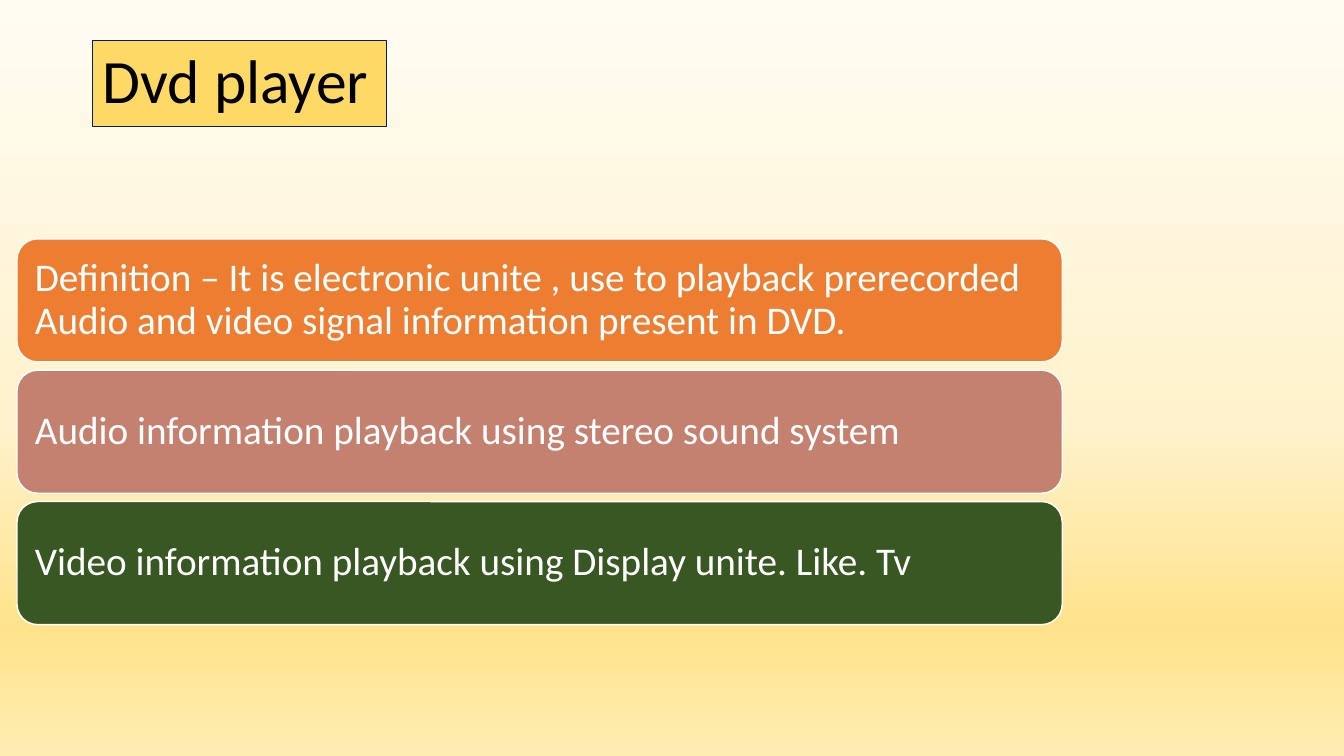
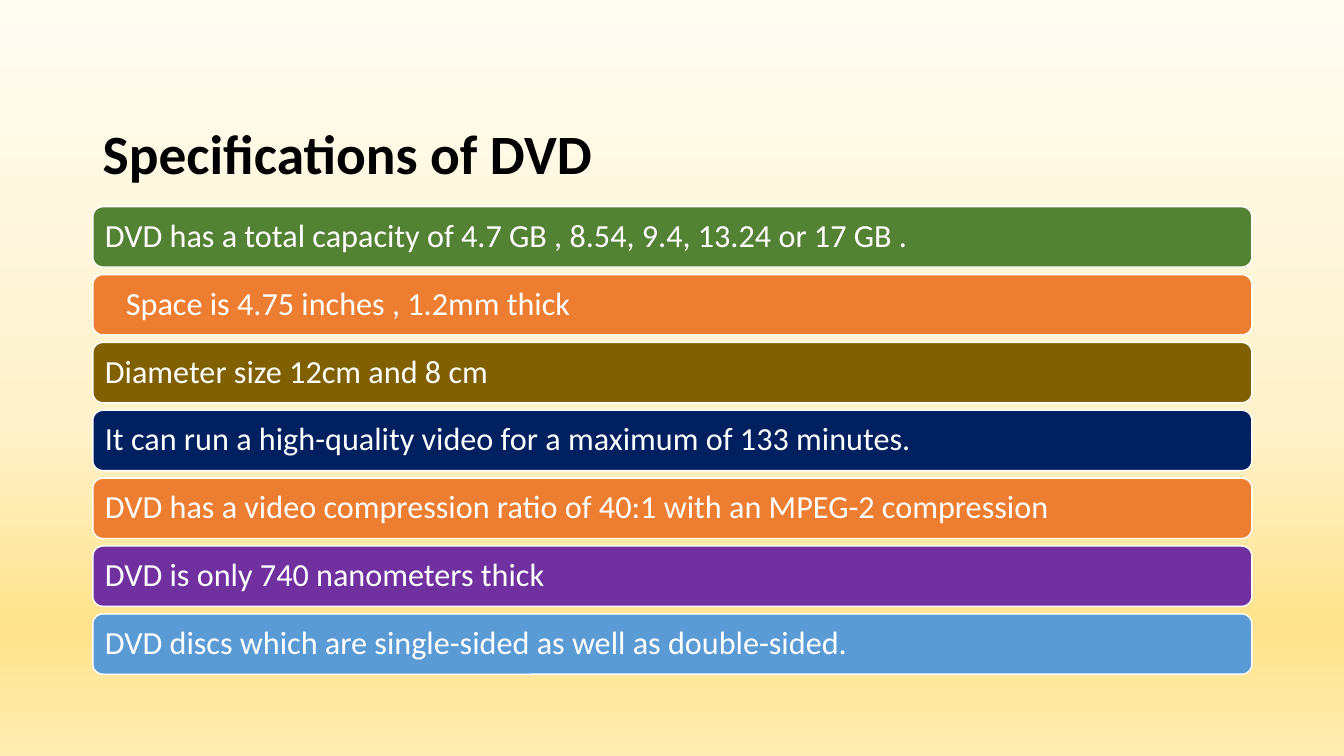
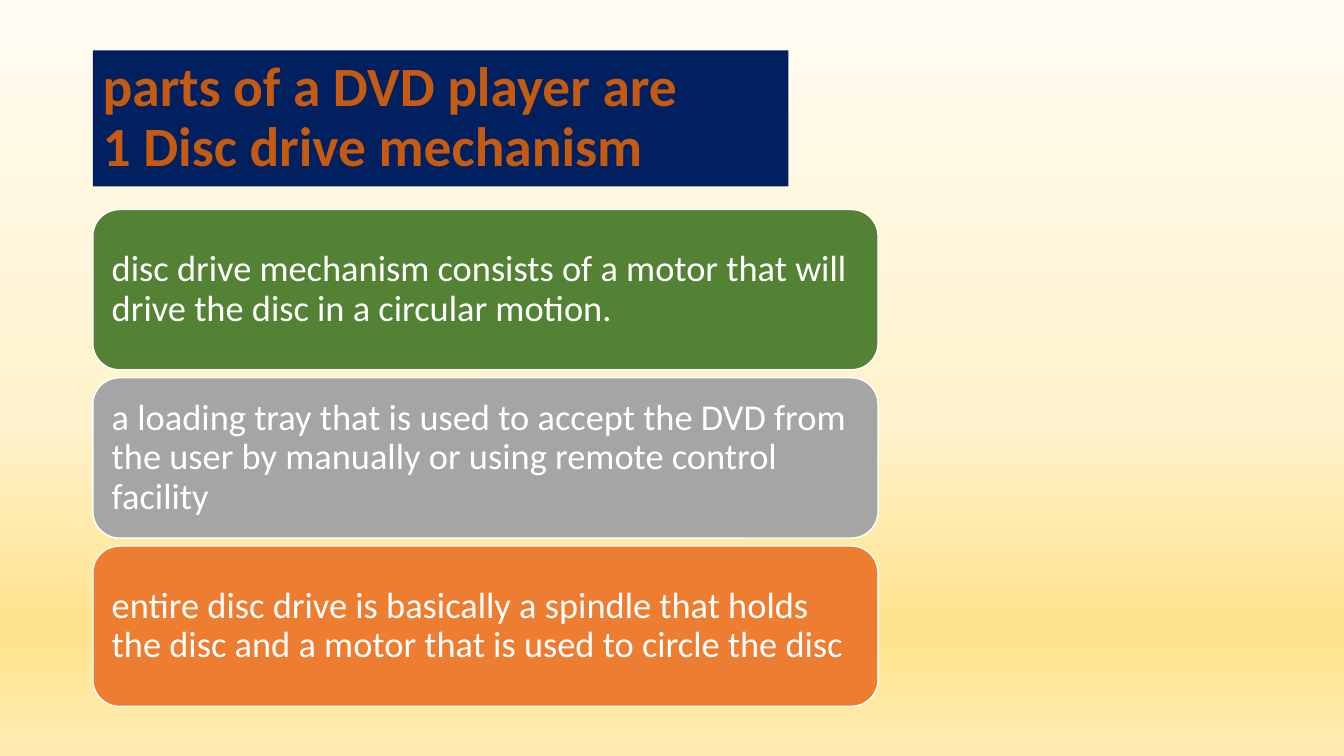
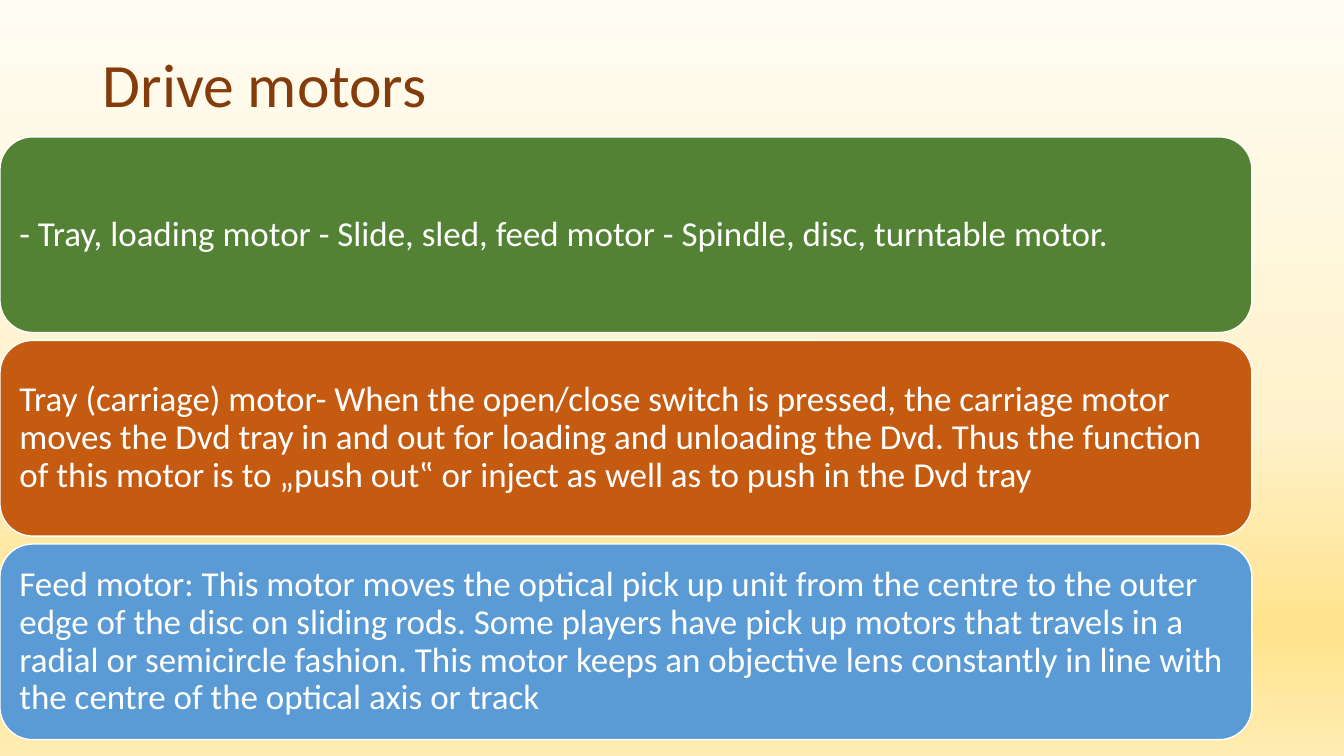
from pptx import Presentation
from pptx.dml.color import RGBColor
from pptx.enum.shapes import MSO_SHAPE
from pptx.enum.text import MSO_ANCHOR, PP_ALIGN
from pptx.oxml import parse_xml
from pptx.oxml.ns import nsdecls
from pptx.util import Cm, Pt

FONT = "Calibri"
BLACK, WHITE, NAVY = "000000", "FFFFFF", "002060"
GREEN, ORANGE, RUST, BLUE = "548235", "ED7D31", "C55A11", "5B9BD5"
BROWN, GOLD, OLIVE, PURPLE = "843C0B", "FFD966", "806000", "7030A0"
ROSE, FOREST, GREY = "C48170", "385723", "A5A5A5"
GLOW = [(0, "FFFCF2"), (56, "FFF2CC"), (83, "FFE38C"), (100, "FFECB2")]


def rgb(code):
    return RGBColor.from_string(code)


def apply(item, values):
    """Set each named attribute of item."""
    for name, value in values.items():
        setattr(item, name, value)


def paint(shape, fill=None, line=None, width=1):
    if fill:
        shape.fill.solid()
        shape.fill.fore_color.rgb = rgb(fill)
    if line:
        shape.line.color.rgb = rgb(line)
        shape.line.width = Pt(width)


def write(shape, text, size, color, bold=False, pad=(0.25, 0.13)):
    """Fill the shape with left-aligned text; pad is (side, top) in cm."""
    side, top = map(Cm, pad)
    frame = shape.text_frame
    apply(frame, {
        "text": text, "word_wrap": True, "vertical_anchor": MSO_ANCHOR.MIDDLE,
        "margin_left": side, "margin_right": side,
        "margin_top": top, "margin_bottom": top,
    })
    for para in frame.paragraphs:
        apply(para, {"alignment": PP_ALIGN.LEFT, "line_spacing": 0.9})
        for run in para.runs:
            apply(run.font, {"name": FONT, "size": Pt(size), "bold": bold})
            run.font.color.rgb = rgb(color)


def set_back(master):
    """Give every slide the vertical gradient."""
    fill = master.background.fill
    fill.gradient()
    fill.gradient_angle = 270
    stops = master.element.xpath("./p:cSld/p:bg//a:gsLst")[0]
    for stop in list(stops):
        stops.remove(stop)
    for place, color in GLOW:
        stops.append(parse_xml(
            f'<a:gs {nsdecls("a")} pos="{place * 1000}">'
            f'<a:srgbClr val="{color}"/></a:gs>'))


def add_title(slide, text, box, color, size=44, bold=False, **look):
    shape = slide.shapes.add_textbox(*map(Cm, box))
    paint(shape, **look)
    write(shape, text, size, color, bold)


def add_stack(slide, box, gap, size, pad, rows):
    """Stack equal rounded bars; box is that of the first one."""
    left, top, width, height = box
    bars = []
    for index, (color, text) in enumerate(rows):
        place = left, top + index * (height + gap), width, height
        bar = slide.shapes.add_shape(
            MSO_SHAPE.ROUNDED_RECTANGLE, *map(Cm, place))
        bar.shadow.inherit = False
        paint(bar, color, WHITE)
        write(bar, text, size, WHITE, pad=(pad, pad))
        bars.append(bar)
    return bars


def add_intro(slide):
    add_title(slide, "Dvd player", (2.34, 1.02, 7.39, 2.18), BLACK,
              fill=GOLD, line=NAVY, width=0.75)
    add_stack(slide, (0.43, 6.02, 26.34, 3.1), 0.21, 28, 0.3, [
        (ORANGE, "Definition – It is electronic unite , use to playback "
                 "prerecorded Audio and video signal information present "
                 "in DVD."),
        (ROSE, "Audio information playback using stereo sound system"),
        (FOREST, "Video information playback using Display unite. Like. Tv"),
    ])


def add_specs(slide):
    add_title(slide, "Specifications of DVD", (2.34, 3.18, 13.23, 1.52),
              BLACK, 39.6, True)
    bars = add_stack(slide, (2.34, 5.21, 29.21, 1.52), 0.19, 23, 0.23, [
        (GREEN, "DVD has a total capacity of 4.7 GB , 8.54, 9.4, 13.24 "
                "or 17 GB ."),
        (ORANGE, "Space is 4.75 inches , 1.2mm thick"),
        (OLIVE, "Diameter size 12cm and 8 cm"),
        (NAVY, "It can run a high-quality video for a maximum of "
               "133 minutes."),
        (ORANGE, "DVD has a video compression ratio of 40:1 with an MPEG-2 "
                 "compression"),
        (PURPLE, "DVD is only 740 nanometers thick"),
        (BLUE, "DVD discs which are single-sided as well as double-sided."),
    ])
    bars[1].text_frame.margin_left = Cm(0.76)


def add_parts(slide):
    add_title(slide, "parts of a DVD player are\n1 Disc drive mechanism",
              (2.34, 1.27, 17.53, 3.43), RUST, 39.6, True, fill=NAVY)
    add_stack(slide, (2.34, 5.28, 19.79, 4.04), 0.2, 26, 0.28, [
        (GREEN, "disc drive mechanism consists of a motor that will drive "
                "the disc in a circular motion."),
        (GREY, "a loading tray that is used to accept the DVD from the user "
               "by manually or using remote control facility"),
        (ORANGE, "entire disc drive is basically a spindle that holds the "
                 "disc and a motor that is used to circle the disc"),
    ])


def add_motors(slide):
    add_title(slide, "Drive motors", (2.34, 1.02, 10.24, 2.39), BROWN)
    add_stack(slide, (0, 3.45, 31.55, 4.93), 0.2, 25, 0.25, [
        (GREEN, "- Tray, loading motor - Slide, sled, feed motor - Spindle, "
                "disc, turntable motor."),
        (RUST, "Tray (carriage) motor- When the open/close switch is "
               "pressed, the carriage motor moves the Dvd tray in and out "
               "for loading and unloading the Dvd. Thus the function of "
               "this motor is to „push out‟ or inject as well as to push "
               "in the Dvd tray"),
        (BLUE, "Feed motor: This motor moves the optical pick up unit from "
               "the centre to the outer edge of the disc on sliding rods. "
               "Some players have pick up motors that travels in a radial "
               "or semicircle fashion. This motor keeps an objective lens "
               "constantly in line with the centre of the optical axis or "
               "track"),
    ])


def main():
    deck = Presentation()
    apply(deck, {"slide_width": Cm(33.87), "slide_height": Cm(19.05)})
    set_back(deck.slide_master)
    for build in (add_intro, add_specs, add_parts, add_motors):
        build(deck.slides.add_slide(deck.slide_layouts[6]))
    deck.save("out.pptx")


if __name__ == "__main__":
    main()
